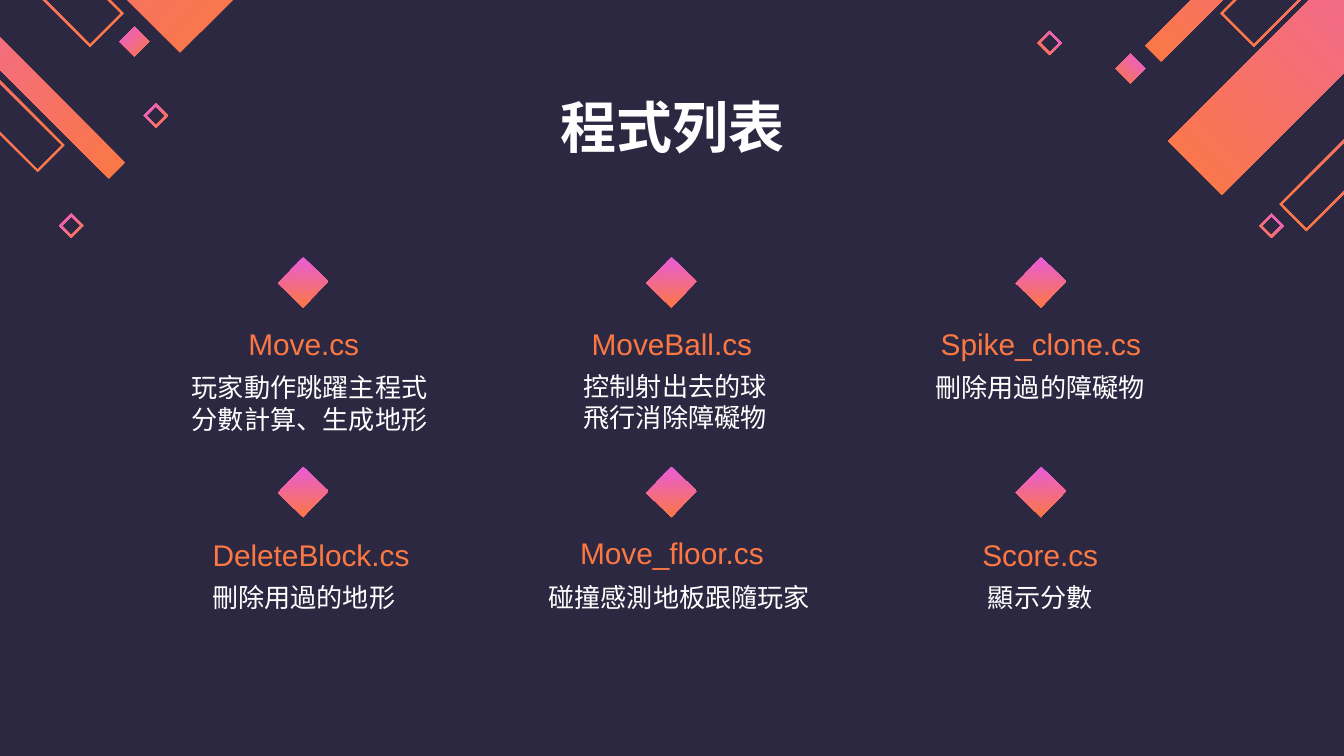
"""Build the slide that lists the program files of the game."""
from lxml import etree
from pptx import Presentation
from pptx.dml.color import RGBColor
from pptx.enum.shapes import MSO_SHAPE
from pptx.enum.text import MSO_ANCHOR, MSO_AUTO_SIZE, PP_ALIGN
from pptx.oxml.ns import qn
from pptx.util import Inches, Pt

RECTANGLE = MSO_SHAPE.RECTANGLE
TOP = MSO_ANCHOR.TOP
CENTER = PP_ALIGN.CENTER
NO_AUTOFIT = MSO_AUTO_SIZE.NONE
NAVY, WHITE, ORANGE, PINK = "2D2842", "FFFFFF", "FB7843", "E85CDB"
LATIN, CHINESE = "Arial", "Noto Sans CJK TC"


def paint(shape, colors, angle):
    shape.shadow.inherit = False
    shape.line.fill.background()
    shape.fill.gradient()
    shape.fill.gradient_angle = angle
    for stop, color in zip(shape.fill.gradient_stops, colors):
        stop.color.rgb = RGBColor.from_string(color)


def write(box, place, lines, font_name, size, color, spacing=None, bold=False):
    box.left, box.top, box.width, box.height = [Inches(length) for length in place]
    frame = box.text_frame
    frame.word_wrap = True
    frame.auto_size = NO_AUTOFIT
    frame.vertical_anchor = TOP
    frame.margin_left = frame.margin_right = Inches(0.1)
    frame.margin_top = frame.margin_bottom = Inches(0.1)
    for index, line in enumerate(lines):
        para = frame.add_paragraph() if index else frame.paragraphs[0]
        para.alignment = CENTER
        para.space_before = Pt(0)
        para.line_spacing = spacing
        span = para.add_run()
        span.text = line
        font = span.font
        font.name, font.size, font.bold = font_name, Pt(size), bold
        font.color.rgb = RGBColor.from_string(color)
        etree.SubElement(span._r.get_or_add_rPr(), qn("a:ea"), typeface=font_name)


deck = Presentation()
deck.slide_width = Inches(10)
deck.slide_height = Inches(10) * 9 // 16
page = deck.slides.add_slide(deck.slide_layouts[5])
page.background.fill.solid()
page.background.fill.fore_color.rgb = RGBColor.from_string(NAVY)

bars = [
    (2.62, 0.4, False, (9.09, 1.45), (1.34, 0.39)),
    (1.95, 0.25, True, (9.33, 0.35), (0.67, 0.35)),
    (2.35, 0.12, False, (8.64, 0.46), (0.81, 1.33)),
    (2.22, 0.2, True, (9.72, 1.72), (0.28, 1.28)),
    (0.09, 0.09, True, (7.81, 0.41), (1.16, 0.95)),
    (0.09, 0.09, True, (9.46, 1.77), (0.53, 1.77)),
    (0.11, 0.11, False, (8.41, 0.62), (1, 0.42)),
]
for long_side, short_side, hollow, right_corner, left_corner in bars:
    for (x, y), side, angle in ((right_corner, 1, 45), (left_corner, -1, 135)):
        builder = None
        for inset in (0, 0.02) if hollow else (0,):
            along, across = long_side - inset, short_side - inset
            low = y - inset
            points = [
                (x, low),
                (x + side * along, low - along),
                (x + side * (along - across), low - along - across),
                (x - side * across, low - across),
            ]
            if inset:
                points.reverse()
            corners = [(Inches(px), Inches(py)) for px, py in points]
            if builder is None:
                builder = page.shapes.build_freeform(*corners[0], scale=1.0)
            else:
                builder.move_to(*corners[0])
            builder.add_line_segments(corners[1:], close=True)
        paint(builder.convert_to_shape(), (ORANGE, PINK), angle)

write(page.shapes.title, (0.64, 0.58, 8.73, 0.77), ["程式列表"], CHINESE, 30, WHITE,
      Pt(36.5), True)

programs = [
    ("Move.cs", (1.22, 2.32, 2.08), ["玩家動作跳躍主程式", "分數計算、生成地形"], (0.77, 2.66, 3.07)),
    ("MoveBall.cs", (3.96, 2.32, 2.08), ["控制射出去的球", "飛行消除障礙物"], (3.73, 2.65, 2.59)),
    ("Spike_clone.cs", (6.32, 2.32, 2.85), ["刪除用過的障礙物"], (6.7, 2.66, 2.08)),
    ("DeleteBlock.cs", (1, 3.89, 2.63), ["刪除用過的地形"], (1.22, 4.22, 2.08)),
    ("Move_floor.cs", (3.63, 3.88, 2.74), ["碰撞感測地板跟隨玩家"], (3.85, 4.22, 2.41)),
    ("Score.cs", (6.7, 3.89, 2.08), ["顯示分數"], (6.7, 4.22, 2.08)),
]
columns = (2.12, 4.86, 7.61)
for index, (file_name, name_place, details, detail_place) in enumerate(programs):
    row, column = divmod(index, len(columns))
    diamond = page.shapes.add_shape(
        RECTANGLE, Inches(columns[column]), Inches(1.97 + 1.56 * row),
        Inches(0.27), Inches(0.26))
    diamond.rotation = 134
    paint(diamond, (PINK, ORANGE), 45)
    name_box = page.shapes.add_textbox(0, 0, 0, 0)
    write(name_box, (*name_place, 0.43), [file_name], LATIN, 16, ORANGE)
    detail_box = page.shapes.add_textbox(0, 0, 0, 0)
    write(detail_box, (*detail_place, 0.43), details, CHINESE, 14, WHITE, Pt(17))

deck.save("out.pptx")
